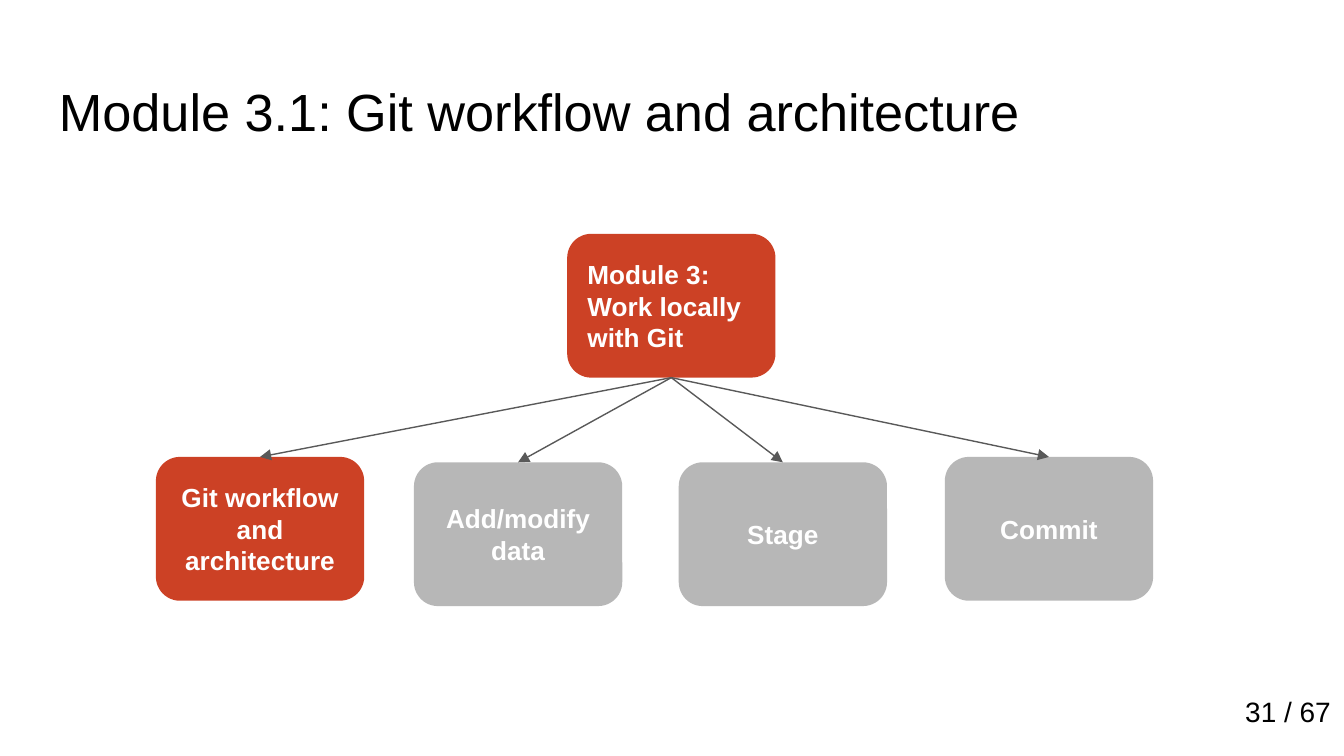
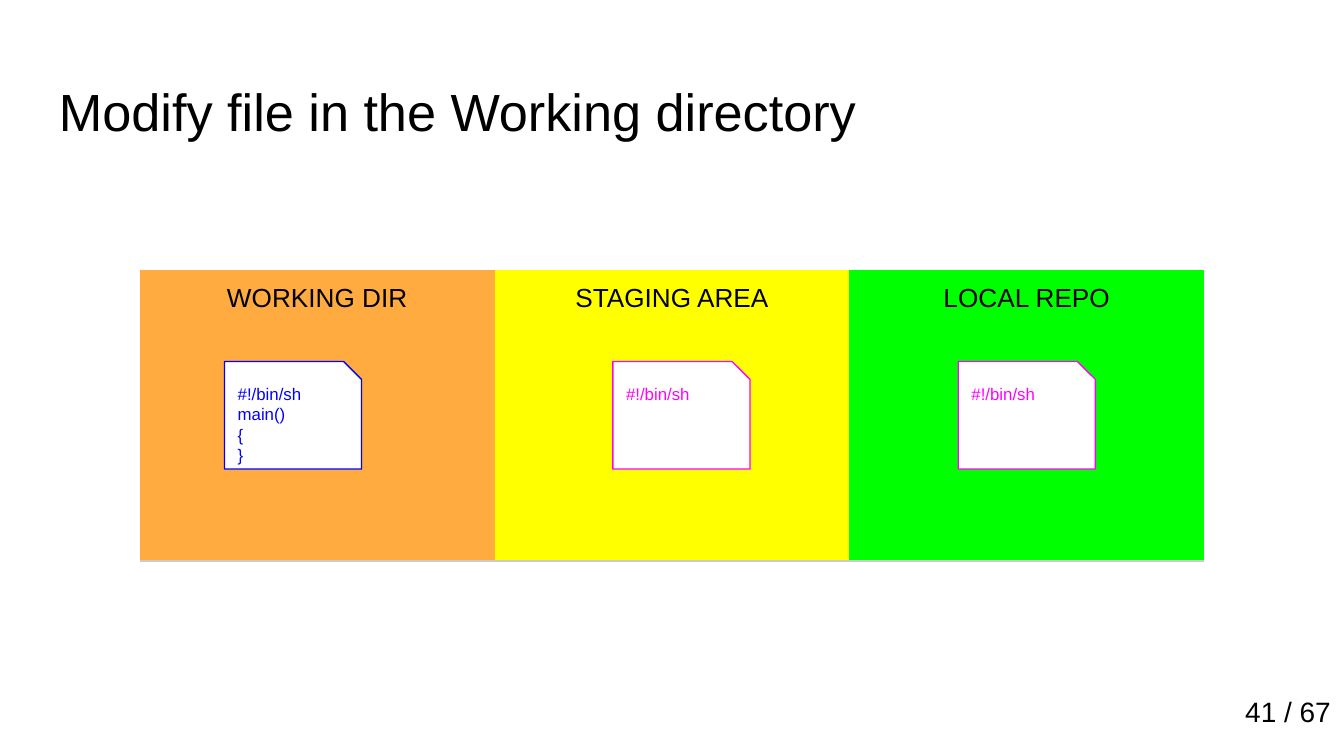
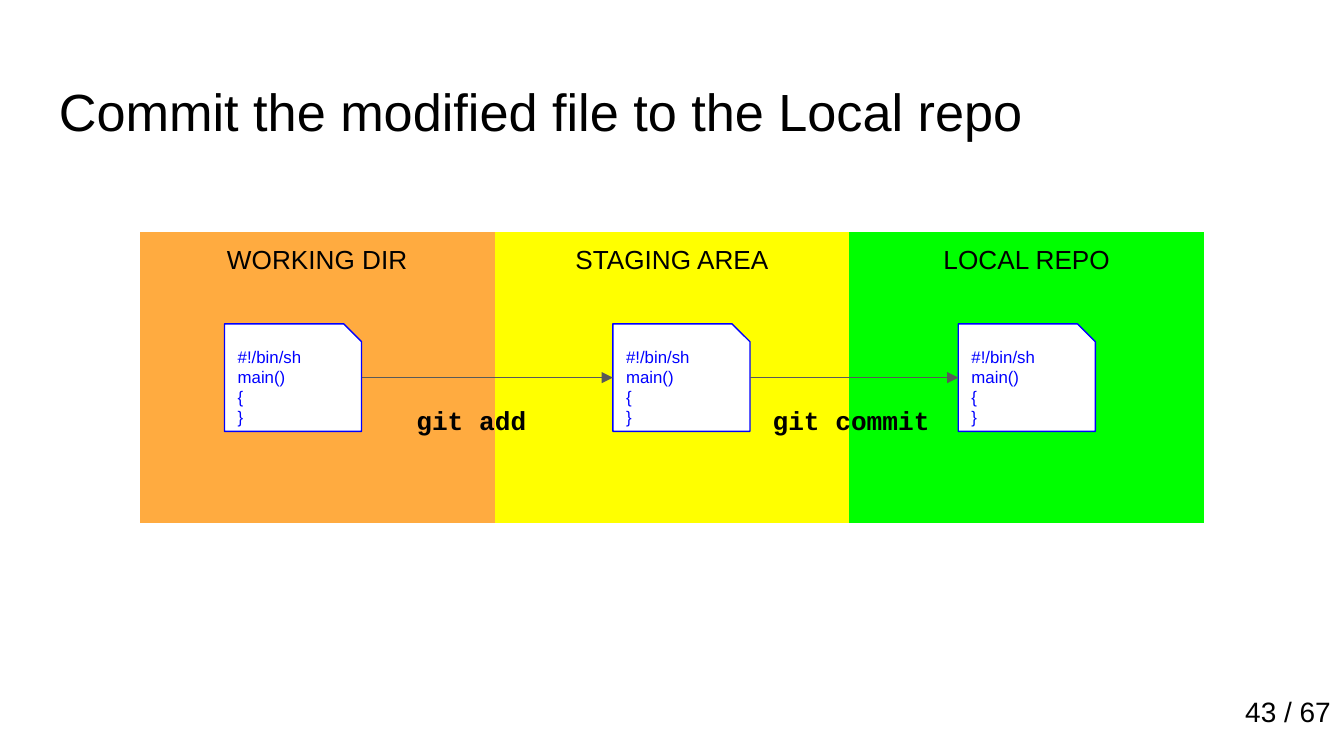
from dataclasses import dataclass

from lxml import etree
from pptx import Presentation, util as u
from pptx.dml.color import RGBColor
from pptx.enum import shapes, text
from pptx.oxml.ns import qn

# Shared style
SLIDE_WIDTH = u.Inches(10)
SLIDE_HEIGHT = SLIDE_WIDTH * 9 // 16
BLACK = RGBColor(0x00, 0x00, 0x00)
WHITE = RGBColor(0xFF, 0xFF, 0xFF)
RED = RGBColor(0xCC, 0x41, 0x25)
GRAY = RGBColor(0xB7, 0xB7, 0xB7)
ARROW = RGBColor(0x59, 0x59, 0x59)
BORDER = RGBColor(0xCC, 0xCC, 0xCC)
ORANGE = RGBColor(0xFF, 0xAB, 0x40)
YELLOW = RGBColor(0xFF, 0xFF, 0x00)
GREEN = RGBColor(0x00, 0xFF, 0x00)
BLUE = RGBColor(0x00, 0x00, 0xFF)
MAGENTA = RGBColor(0xFF, 0x00, 0xFF)

SANS, MONO = "Arial", "Courier New"
LEFT, CENTER, RIGHT = text.PP_ALIGN.LEFT, text.PP_ALIGN.CENTER, text.PP_ALIGN.RIGHT
INSET = u.Inches(0.1)
LINE_WIDTH = u.Pt(0.75)
TOTAL_PAGES = 67
NO_TABLE_STYLE = "{2D5ABB26-0587-4C30-8999-92F81FD0307C}"
TOP_SITE, LEFT_SITE, BOTTOM_SITE, RIGHT_SITE = range(4)


@dataclass
class Module:
    label: str
    left: float
    top: float
    color: RGBColor = GRAY
    align: text.PP_ALIGN = CENTER


@dataclass
class Area:
    name: str
    color: RGBColor
    file_left: float


@dataclass
class FileVersion:
    code: str
    color: RGBColor


@dataclass
class Command:
    name: str
    left: float
    width: float


ROOT = Module("Module 3: Work locally with Git", 4.22, 1.74, RED, LEFT)
PARTS = [
    Module("Git workflow and architecture", 1.16, 3.4, RED),
    Module("Add/modify data", 3.08, 3.44),
    Module("Stage", 5.05, 3.44),
    Module("Commit", 7.03, 3.4),
]
AREAS = [
    Area("WORKING DIR", ORANGE, 1.67),
    Area("STAGING AREA", YELLOW, 4.56),
    Area("LOCAL REPO", GREEN, 7.13),
]
OLD_FILE = FileVersion("#!/bin/sh", MAGENTA)
NEW_FILE = FileVersion("#!/bin/sh\nmain()\n{\n}", BLUE)
COMMANDS = [Command("git add", 3, 1.26), Command("git commit", 5.65, 1.41)]


# Text and shape helpers
def write(tf, content: str, size: float, color: RGBColor, align=LEFT,
          bold: bool = False, font: str = SANS) -> None:
    tf.text = content
    for p in tf.paragraphs:
        p.alignment = align
        p.font.name, p.font.size, p.font.bold = font, u.Pt(size), bold
        p.font.color.rgb = color


def set_frame(tf, anchor=text.MSO_ANCHOR.TOP) -> None:
    tf.word_wrap = True
    tf.vertical_anchor = anchor
    tf.margin_left = tf.margin_right = tf.margin_top = tf.margin_bottom = INSET


def add_text(s, left: float, top: float, width: float, height: float,
             content: str, size: float, **style) -> None:
    tf = s.shapes.add_textbox(*map(u.Inches, (left, top, width, height))).text_frame
    set_frame(tf)
    write(tf, content, size, BLACK, **style)


def add_box(s, kind, left: float, top: float, width: float, height: float,
            fill: RGBColor, line: RGBColor | None = None):
    sp = s.shapes.add_shape(kind, *map(u.Inches, (left, top, width, height)))
    sp.shadow.inherit = False
    sp.fill.solid()
    sp.fill.fore_color.rgb = fill
    if line is None:
        sp.line.fill.background()
    else:
        sp.line.color.rgb, sp.line.width = line, LINE_WIDTH
    return sp


def add_arrow(s, start, start_site: int, end, end_site: int) -> None:
    cx = s.shapes.add_connector(shapes.MSO_CONNECTOR.STRAIGHT, 0, 0, 0, 0)
    cx.begin_connect(start, start_site)
    cx.end_connect(end, end_site)
    cx.line.color.rgb, cx.line.width = ARROW, LINE_WIDTH
    etree.SubElement(cx.line._get_or_add_ln(), qn("a:tailEnd"), type="triangle")
    etree.SubElement(cx._element.spPr, qn("a:effectLst"))


def add_slide(prs, title: str, page: int):
    s = prs.slides.add_slide(prs.slide_layouts[6])
    add_text(s, 0.34, 0.49, 9.32, 0.63, title, 28)
    add_text(s, 8.89, 5.07, 1.11, 0.56, f"{page} / {TOTAL_PAGES}", 15, align=RIGHT)
    return s


# Module tree
def add_module(s, module: Module):
    sp = add_box(s, shapes.MSO_SHAPE.ROUNDED_RECTANGLE, module.left, module.top,
                 1.55, 1.07, module.color)
    set_frame(sp.text_frame, text.MSO_ANCHOR.MIDDLE)
    write(sp.text_frame, module.label, 14, WHITE, module.align, bold=True)
    return sp


def module_slide(prs) -> None:
    s = add_slide(prs, "Module 3.1: Git workflow and architecture", 31)
    root = add_module(s, ROOT)
    for part in PARTS:
        add_arrow(s, root, BOTTOM_SITE, add_module(s, part), TOP_SITE)


# Board of the three Git areas
def add_bottom_border(cell) -> None:
    ln = etree.Element(qn("a:lnB"), w=str(int(LINE_WIDTH)))
    fill = etree.SubElement(ln, qn("a:solidFill"))
    etree.SubElement(fill, qn("a:srgbClr"), val=str(BORDER))
    cell._tc.get_or_add_tcPr().insert(0, ln)


def add_areas(s, top: float, bordered: bool) -> None:
    heights = (0.42, 1.73)
    col_width = 2.64
    gf = s.shapes.add_table(2, len(AREAS), u.Inches(1.04), u.Inches(top),
                            u.Inches(col_width * len(AREAS)), u.Inches(sum(heights)))
    table = gf.table
    table.first_row = table.horz_banding = False
    next(gf._element.iter(qn("a:tableStyleId"))).text = NO_TABLE_STYLE
    for row, height in zip(table.rows, heights):
        row.height = u.Inches(height)
    for col, area in enumerate(AREAS):
        table.columns[col].width = u.Inches(col_width)
        header, body = table.cell(0, col), table.cell(1, col)
        for cell in (header, body):
            cell.margin_left = cell.margin_right = INSET
            cell.margin_top = cell.margin_bottom = INSET
            cell.fill.solid()
            cell.fill.fore_color.rgb = area.color
        write(header.text_frame, area.name, 14, BLACK, CENTER)
        if bordered:
            add_bottom_border(body)


def add_file(s, left: float, top: float, version: FileVersion):
    sp = add_box(s, shapes.MSO_SHAPE.SNIP_1_RECTANGLE, left, top, 1.02, 0.8,
                 WHITE, version.color)
    set_frame(sp.text_frame)
    write(sp.text_frame, version.code, 9, version.color)
    return sp


def board_slide(prs, title: str, page: int, top: float, versions: list[FileVersion],
                commands: list[Command], bordered: bool = False) -> None:
    s = add_slide(prs, title, page)
    add_areas(s, top, bordered)
    files = [add_file(s, area.file_left, top + 0.68, version)
             for area, version in zip(AREAS, versions)]
    for command, start, end in zip(commands, files, files[1:]):
        add_arrow(s, start, RIGHT_SITE, end, LEFT_SITE)
        add_text(s, command.left, top + 1.18, command.width, 0.3, command.name, 14,
                 bold=True, font=MONO)


def main() -> None:
    prs = Presentation()
    prs.slide_width, prs.slide_height = SLIDE_WIDTH, SLIDE_HEIGHT
    module_slide(prs)
    board_slide(prs, "Modify file in the Working directory", 41, 2.01,
                [NEW_FILE, OLD_FILE, OLD_FILE], [], bordered=True)
    board_slide(prs, "Commit the modified file to the Local repo", 43, 1.73,
                [NEW_FILE] * 3, COMMANDS)
    prs.save("out.pptx")


if __name__ == "__main__":
    main()
